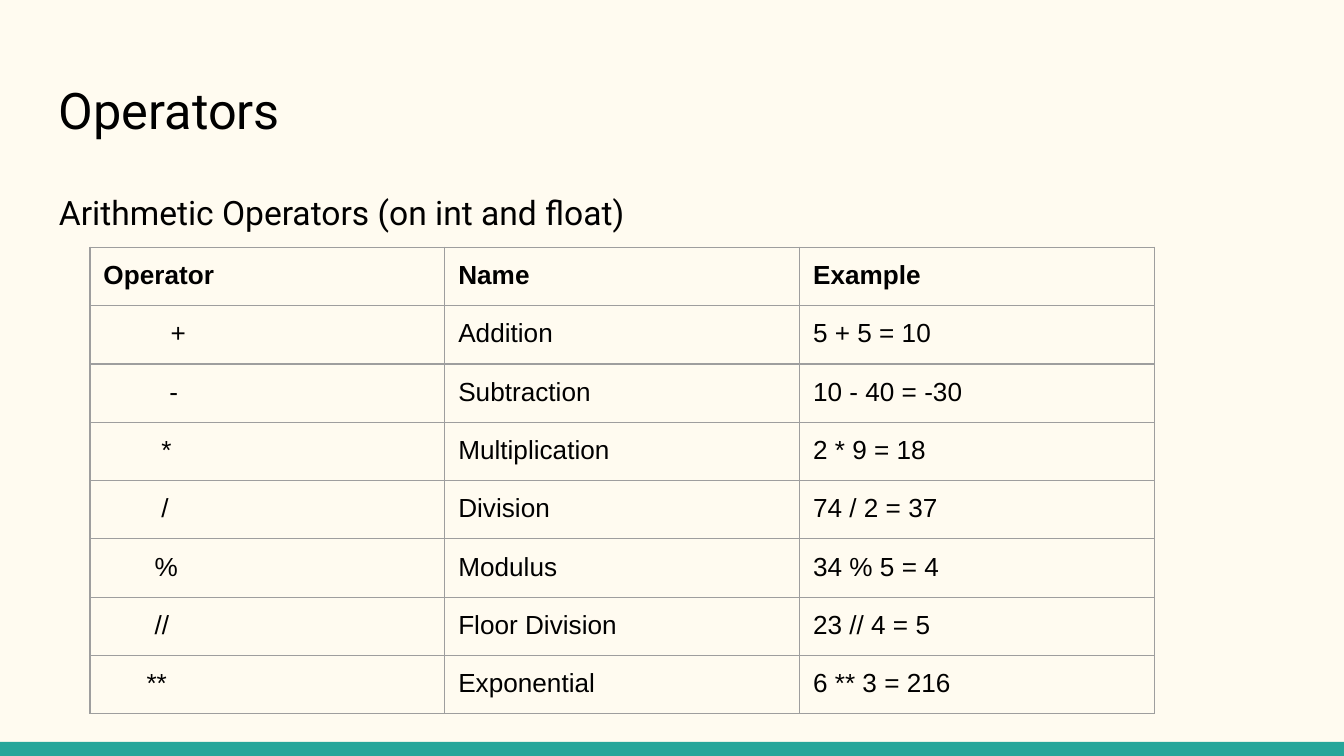
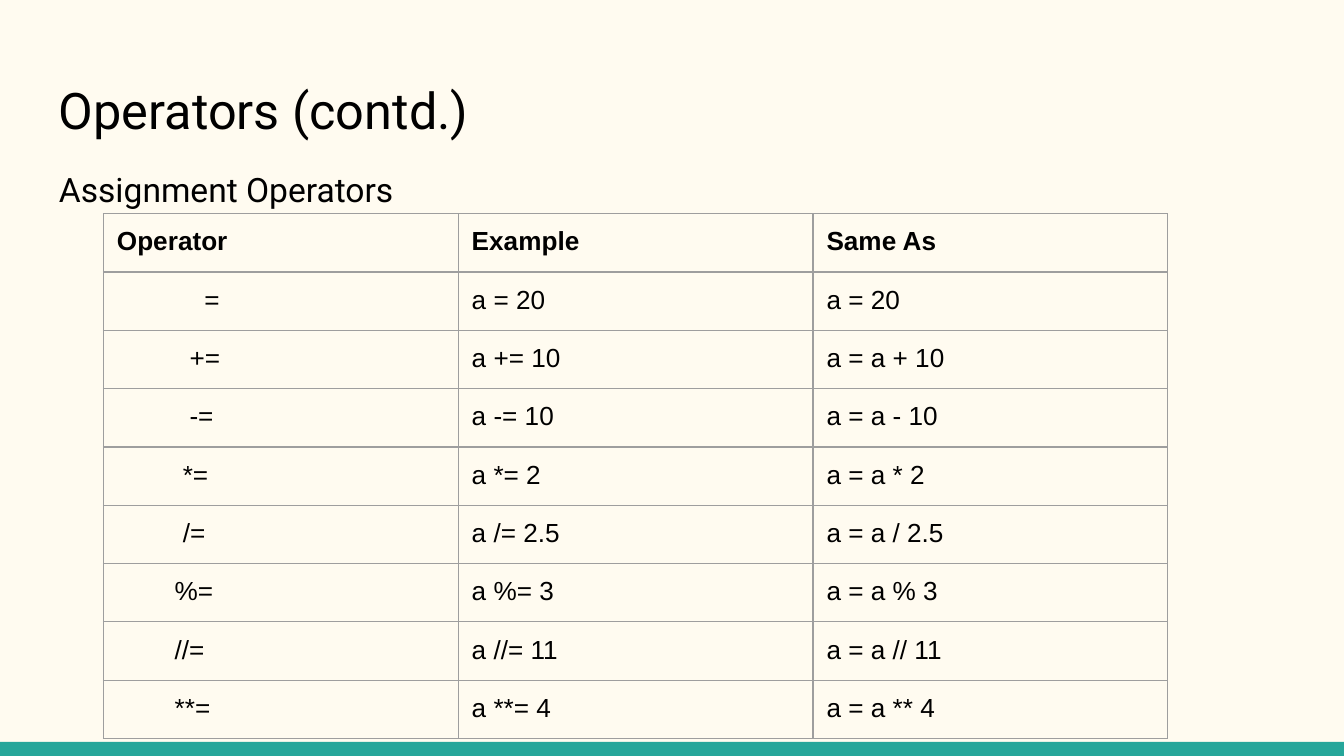
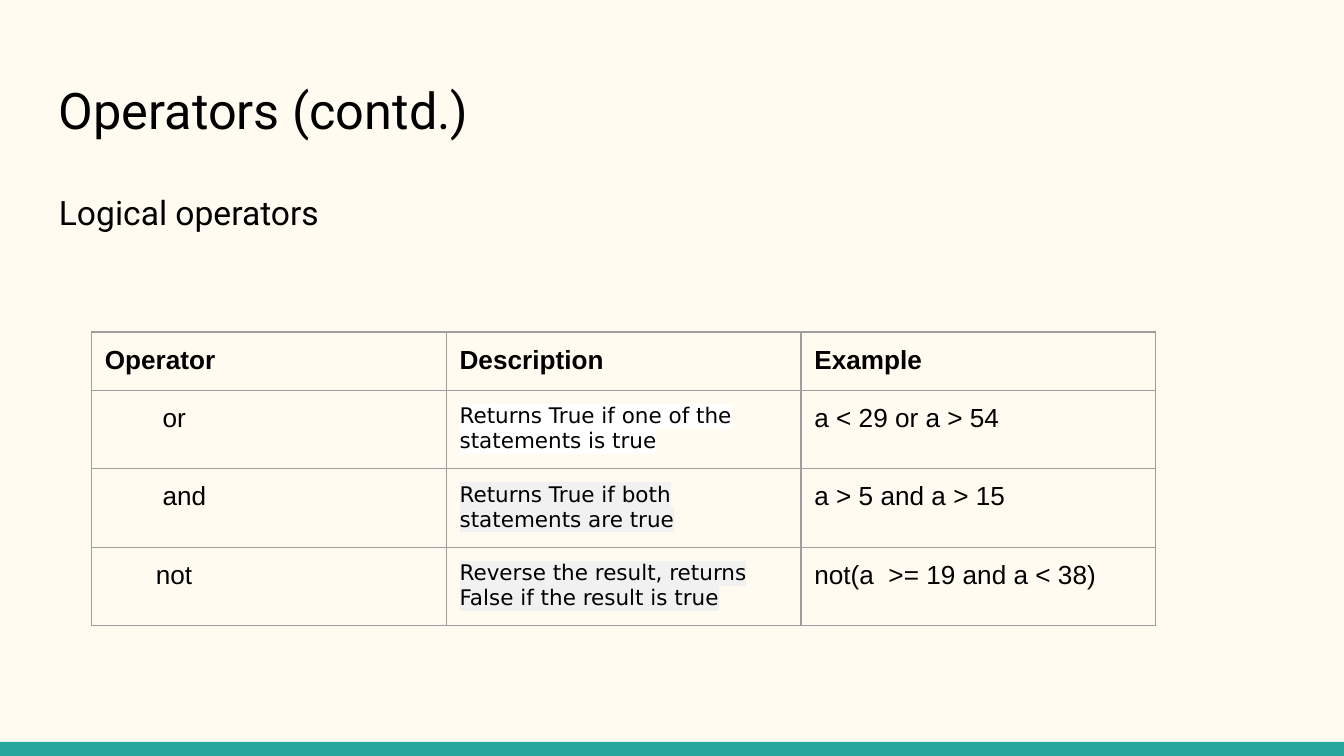
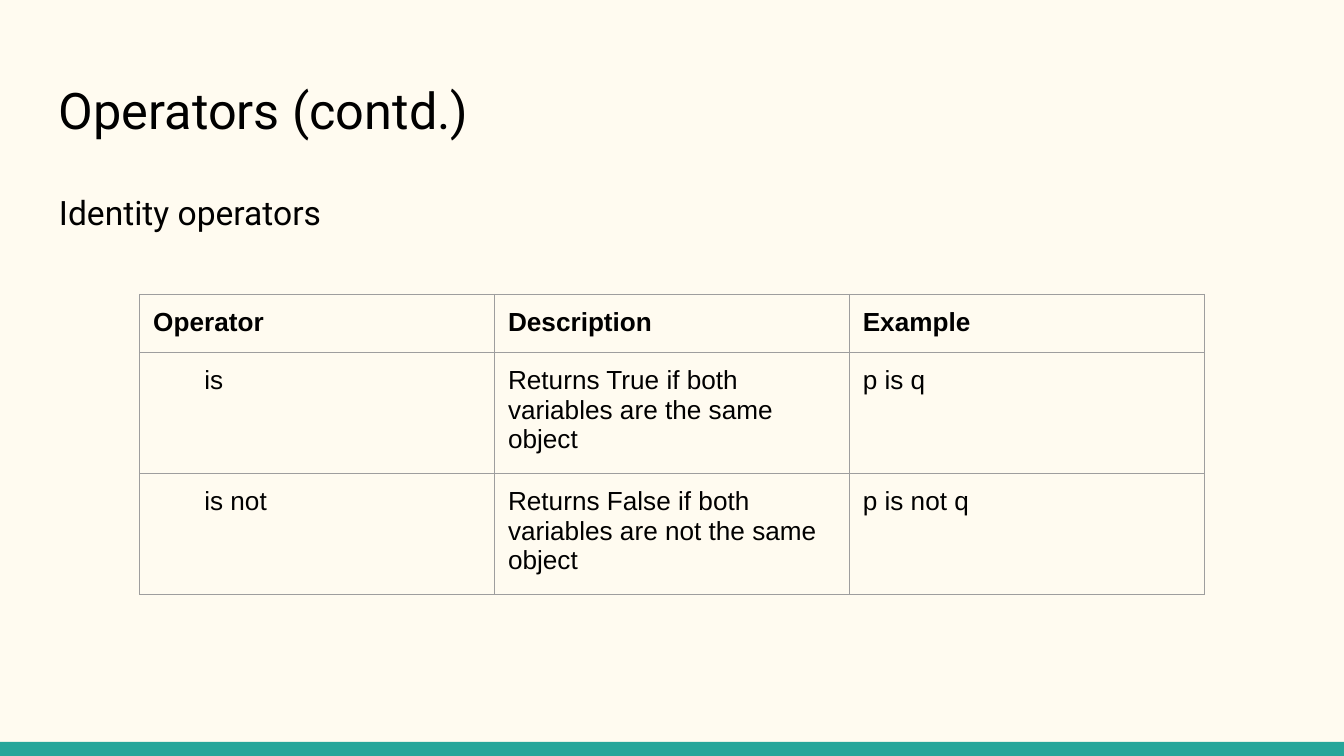
from lxml.etree import SubElement
from pptx import Presentation
from pptx.dml.color import RGBColor
from pptx.enum.shapes import MSO_SHAPE as SHAPE
from pptx.oxml import parse_xml
from pptx.oxml.ns import nsdecls, qn
from pptx.util import Inches, Pt

COLORS = {"page": "FFFBF0", "band": "26A69A", "text": "000000",
          "grid": "9E9E9E", "white": "FFFFFF", "gray": "F1F1F1"}
TITLE = {"name": "Roboto", "size": Pt(27)}
SUBTITLE = {"name": "Roboto", "size": Pt(18)}
HEADER = {"name": "Arial", "size": Pt(14), "bold": True}
CELL = {"name": "Arial", "size": Pt(14), "bold": False}
NOTE = {"name": "DejaVu Sans", "size": Pt(11.5), "bold": False}
PADDING = {f"margin_{side}": Inches(0.1)
           for side in ("left", "right", "top", "bottom")}
COL_W, ROW_H = 2.64, 0.42

# Each body row: indent of the operator in inches, then the three cell texts
slides = [
    {"title": "Operators", "subtitle": "Arithmetic Operators (on int and float)",
     "subtitle_top": 1.28, "table_at": (0.67, 1.84),
     "header": ("Operator", "Name", "Example"),
     "rows": [(0.5, "+", "Addition", "5 + 5 = 10"),
              (0.49, "-", "Subtraction", "10 - 40 = -30"),
              (0.43, "*", "Multiplication", "2 * 9 = 18"),
              (0.43, "/", "Division", "74 / 2 = 37"),
              (0.38, "%", "Modulus", "34 % 5 = 4"),
              (0.38, "//", "Floor Division", "23 // 4 = 5"),
              (0.32, "**", "Exponential", "6 ** 3 = 216")]},
    {"title": "Operators (contd.)", "subtitle": "Assignment Operators",
     "subtitle_top": 1.11, "table_at": (0.77, 1.59),
     "header": ("Operator", "Example", "Same As"),
     "rows": [(0.65, "=", "a = 20", "a = 20"),
              (0.54, "+=", "a += 10", "a = a + 10"),
              (0.54, "-=", "a -= 10", "a = a - 10"),
              (0.49, "*=", "a *= 2", "a = a * 2"),
              (0.49, "/=", "a /= 2.5", "a = a / 2.5"),
              (0.43, "%=", "a %= 3", "a = a % 3"),
              (0.43, "//=", "a //= 11", "a = a // 11"),
              (0.43, "**=", "a **= 4", "a = a ** 4")]},
    {"title": "Operators (contd.)", "subtitle": "Logical operators",
     "subtitle_top": 1.28, "table_at": (0.68, 2.47),
     "header": ("Operator", "Description", "Example"),
     "highlights": ("white", "gray", "gray"),
     "rows": [(0.43, "or", "Returns True if one of the statements is true",
               "a < 29 or a > 54"),
              (0.43, "and", "Returns True if both statements are true",
               "a > 5 and a > 15"),
              (0.38, "not", "Reverse the result, returns False if the result is true",
               "not(a  >= 19 and a < 38)")]},
    {"title": "Operators (contd.)", "subtitle": "Identity operators",
     "subtitle_top": 1.28, "table_at": (1.04, 2.19),
     "header": ("Operator", "Description", "Example"),
     "rows": [(0.38, "is", "Returns True if both variables are the same object",
               "p is q"),
              (0.38, "is not", "Returns False if both variables are not the same object",
               "p is not q")]},
]


def write(tf, text, style, spacing=1.0, after=0):
    p = tf.paragraphs[0]
    p.line_spacing, p.space_before, p.space_after = spacing, Pt(0), Pt(after)
    r = p.add_run()
    r.text = text
    for name, value in style.items():
        setattr(r.font, name, value)
    r.font.color.rgb = RGBColor.from_string(COLORS["text"])
    return p


def format_cell(cell):
    for name, value in PADDING.items():
        setattr(cell, name, value)
    tcPr = cell._tc.get_or_add_tcPr()
    for side in ("lnL", "lnR", "lnT", "lnB"):
        ln = SubElement(tcPr, qn(f"a:{side}"), w=str(Pt(0.75)))
        fill = SubElement(ln, qn("a:solidFill"))
        SubElement(fill, qn("a:srgbClr"), val=COLORS["grid"])
    cell.fill.background()


# 16:9 page
prs = Presentation()
prs.slide_width, prs.slide_height = Inches(10), Inches(10 * 9 / 16)

# Shared page colour
page = prs.slide_master.background.fill
page.solid()
page.fore_color.rgb = RGBColor.from_string(COLORS["page"])

for content in slides:
    s = prs.slides.add_slide(prs.slide_layouts[6])

    # Bottom band
    band = s.shapes.add_shape(SHAPE.RECTANGLE, 0, Inches(5.52), Inches(10), Inches(0.11))
    band.shadow.inherit = False
    band.fill.solid()
    band.fill.fore_color.rgb = RGBColor.from_string(COLORS["band"])
    band.line.fill.background()

    # Title and subtitle
    for text, top, height, style, spacing, after in (
            (content["title"], 0.49, 0.67, TITLE, 1.0, 0),
            (content["subtitle"], content["subtitle_top"], 3.72, SUBTITLE, 1.15, 12)):
        sp = s.shapes.add_textbox(Inches(0.34), Inches(top), Inches(9.32), Inches(height))
        tf = sp.text_frame
        tf.word_wrap = True
        for name, value in PADDING.items():
            setattr(tf, name, value)
        write(tf, text, style, spacing, after)

    # Operator table
    left, top = content["table_at"]
    n_rows = len(content["rows"]) + 1
    table = s.shapes.add_table(n_rows, 3, Inches(left), Inches(top),
                               Inches(3 * COL_W), Inches(n_rows * ROW_H)).table
    table.first_row = table.horz_banding = False
    for col in table.columns:
        col.width = Inches(COL_W)
    for row in table.rows:
        row.height = Inches(ROW_H)
    for cell in table.iter_cells():
        format_cell(cell)
    for c, text in enumerate(content["header"]):
        write(table.cell(0, c).text_frame, text, HEADER)

    highlights = content.get("highlights")
    for i, (indent, *texts) in enumerate(content["rows"]):
        for c, text in enumerate(texts):
            noted = highlights and c == 1
            p = write(table.cell(i + 1, c).text_frame, text, NOTE if noted else CELL)
            if c == 0:
                pPr = p._p.get_or_add_pPr()
                pPr.set("marL", str(Inches(indent)))
                pPr.set("indent", "0")
            if noted:
                mark = parse_xml(f'<a:highlight {nsdecls("a")}>'
                                 f'<a:srgbClr val="{COLORS[highlights[i]]}"/></a:highlight>')
                p.runs[0].font._element.find(qn("a:solidFill")).addnext(mark)

prs.save("out.pptx")
